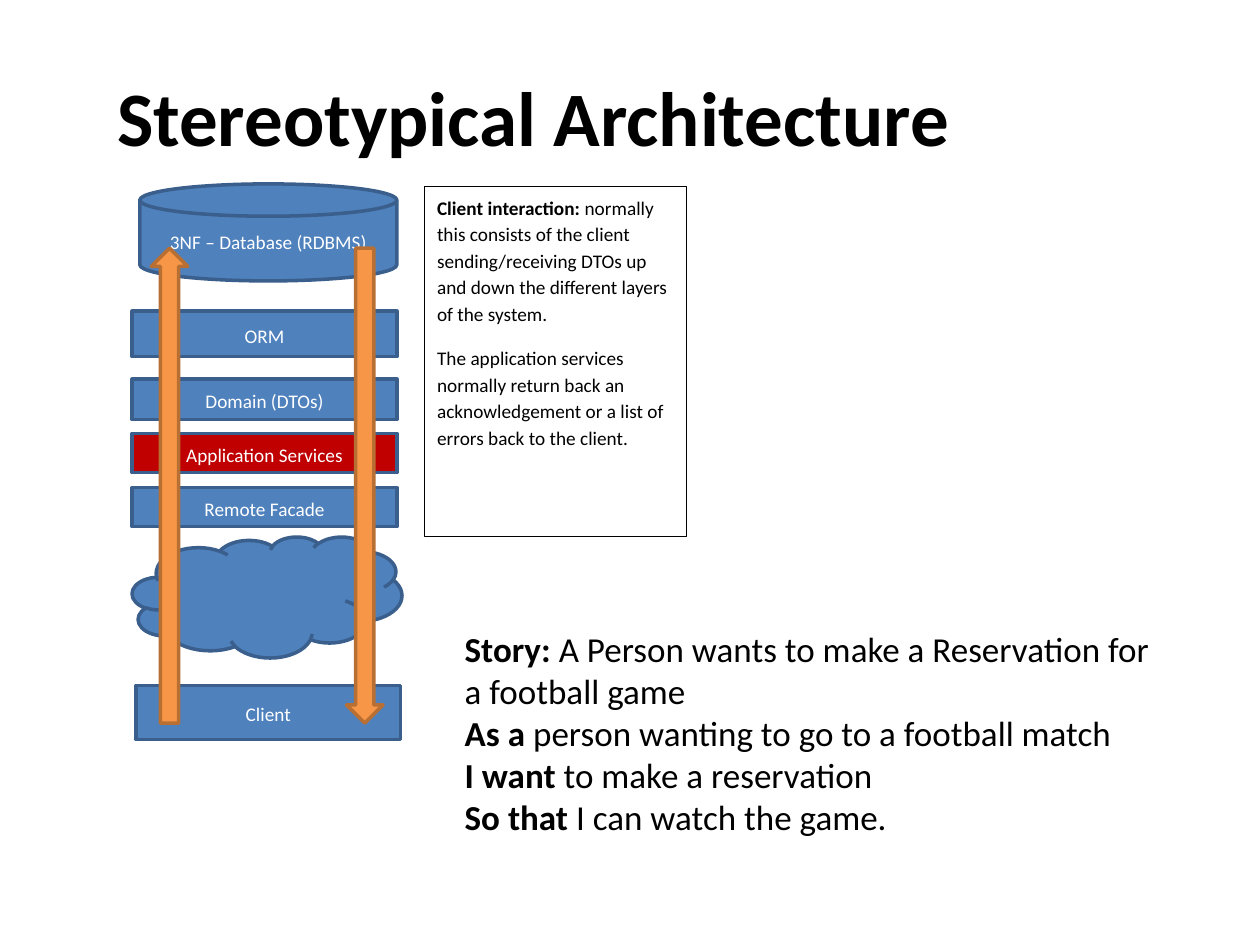
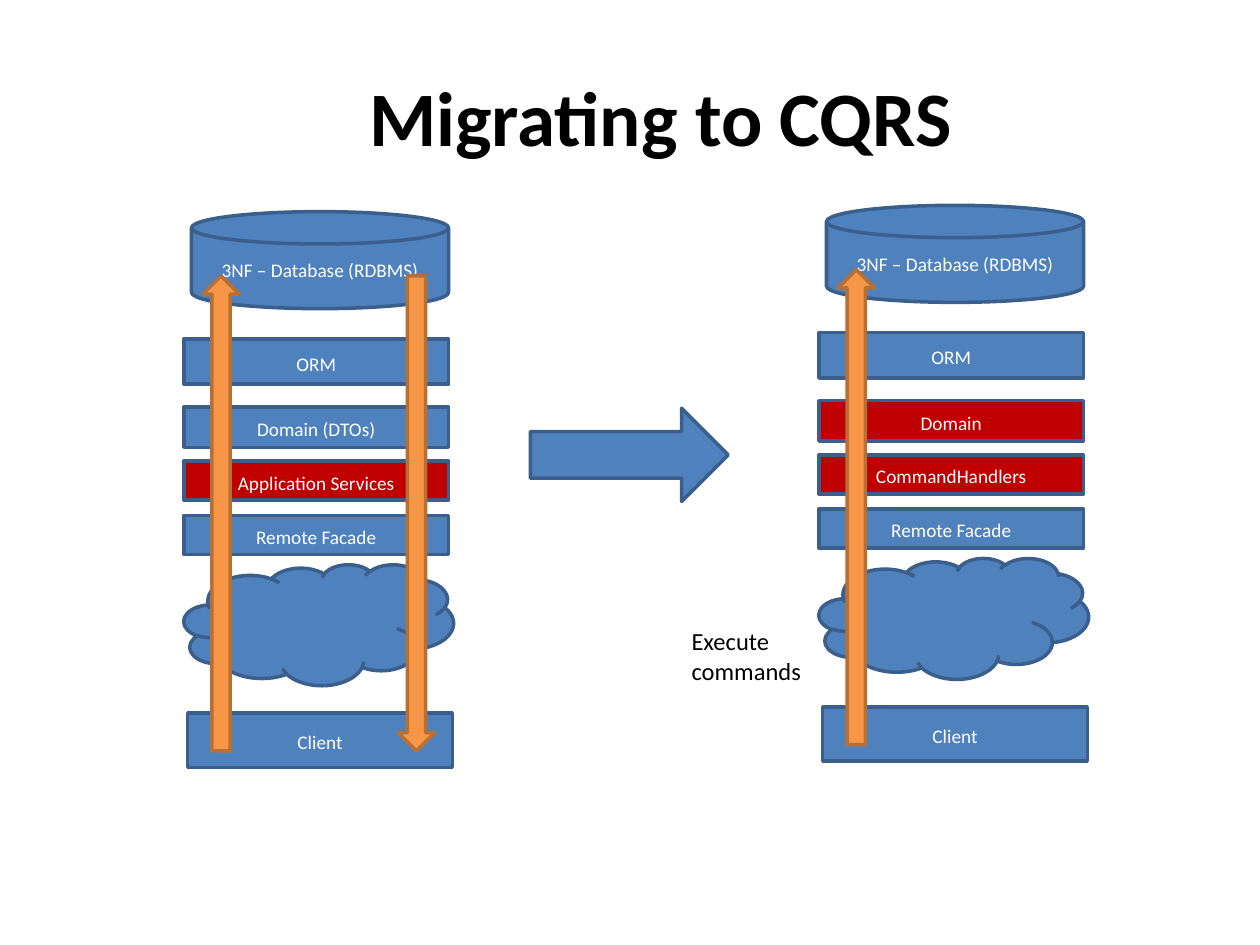
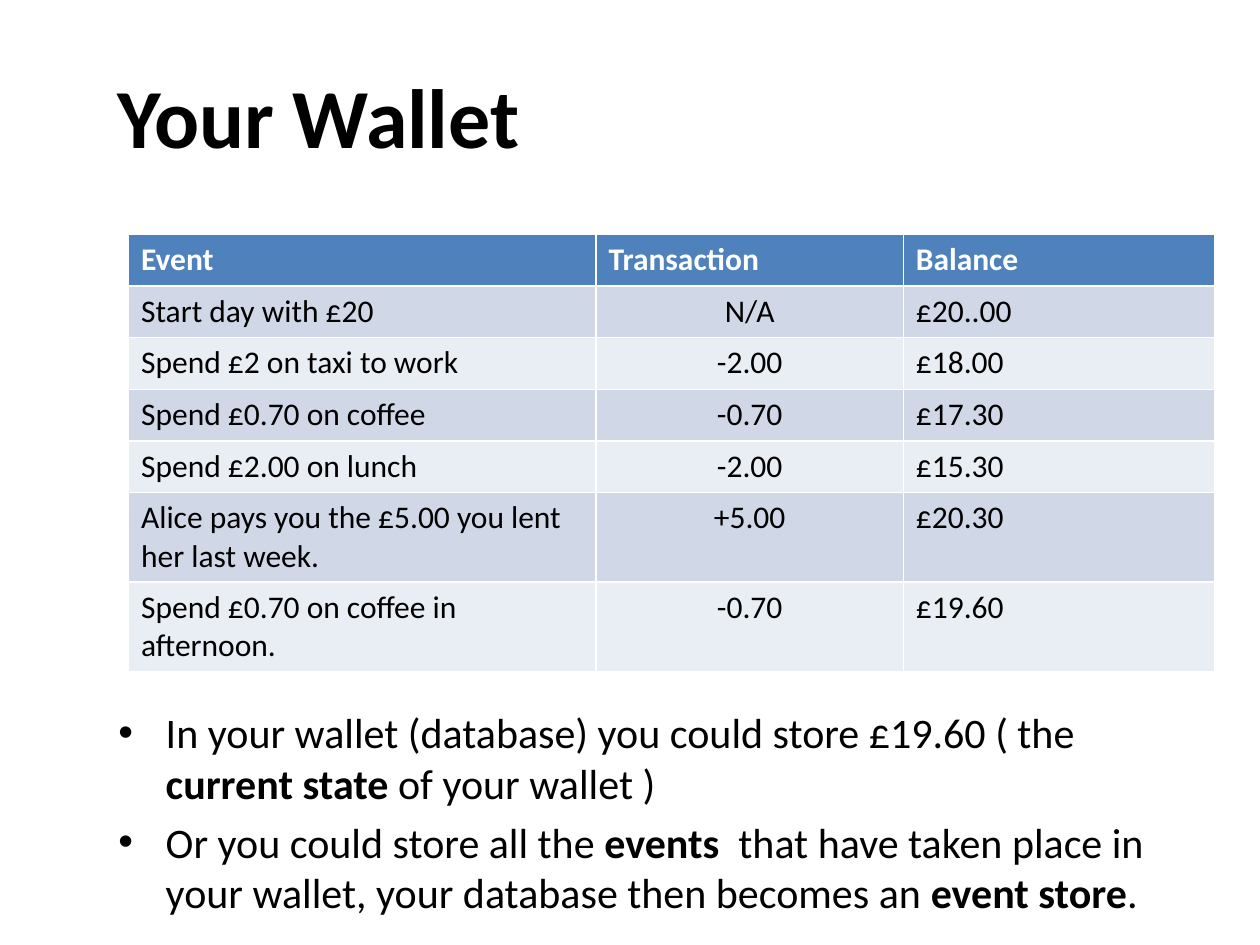
from pptx import Presentation
from pptx.dml.color import RGBColor
from pptx.enum.shapes import MSO_SHAPE as SHAPE
from pptx.enum.text import MSO_ANCHOR as ANCHOR, MSO_AUTO_SIZE as AUTO, PP_ALIGN as ALIGN
from pptx.util import Inches, Pt

FONT = "Calibri"
COLORS = {
    "black": "000000", "white": "FFFFFF",
    "layer": "4F81BD", "layer_line": "3A5F8C", "changed": "C00000",
    "flow": "F79646", "flow_line": "B76F34",
    "band_dark": "D0D8E8", "band_light": "E9EDF4",
}
TITLE_ONLY, TITLE_AND_BODY = 5, 1


def color(name):
    return RGBColor.from_string(COLORS[name])


def box(x, y, w, h):
    return Inches(x), Inches(y), Inches(w), Inches(h)


def place(shape, x, y, w, h):
    shape.left, shape.top, shape.width, shape.height = box(x, y, w, h)


def write(p, runs, size, ink="black", align=None):
    """Fill a paragraph with (text, bold) runs."""
    p.alignment = align
    for text, bold in runs:
        r = p.add_run()
        r.text = text
        r.font.name, r.font.size, r.font.bold = FONT, Pt(size), bold
        r.font.color.rgb = color(ink)


def write_all(tf, paragraphs, size):
    """Write one paragraph per list of runs and return the paragraphs."""
    tf.word_wrap = True
    for i, runs in enumerate(paragraphs):
        write(tf.add_paragraph() if i else tf.paragraphs[0], runs, size)
    return tf.paragraphs


def space_lines(p):
    p.line_spacing, p.space_after = 1.15, Pt(10)


def add_slide(prs, layout, title, size=44, align=ALIGN.LEFT):
    s = prs.slides.add_slide(prs.slide_layouts[layout])
    place(s.shapes.title, 0.83, 0.29, 8.83, 1.25)
    tf = s.shapes.title.text_frame
    tf.auto_size, tf.vertical_anchor = AUTO.NONE, ANCHOR.MIDDLE
    write(tf.paragraphs[0], [(title, True)], size, align=align)
    return s


def add_shape(shapes, kind, at, fill="layer", line="layer_line", width=2):
    sp = shapes.add_shape(kind, *box(*at))
    sp.shadow.inherit = False
    sp.fill.solid()
    sp.fill.fore_color.rgb = color(fill)
    sp.line.color.rgb = color(line)
    sp.line.width = Pt(width)
    return sp


def add_layer(shapes, label, at, kind=SHAPE.FLOWCHART_PROCESS, fill="layer"):
    tf = add_shape(shapes, kind, at, fill).text_frame
    tf.word_wrap, tf.vertical_anchor = True, ANCHOR.MIDDLE
    p = tf.paragraphs[0]
    write(p, [(label, False)], 11, "white", ALIGN.CENTER)
    space_lines(p)


def add_stack(s, x, y, domain, service, domain_fill="layer", returns=True):
    """Group the layers from database to client with the flow arrows over them."""
    shapes = s.shapes.add_group_shape().shapes
    add_layer(shapes, "3NF – Database (RDBMS)", (x + 0.06, y, 2.04, 0.77),
              SHAPE.FLOWCHART_MAGNETIC_DISK)
    layers = [
        ("ORM", 0, 1.01, 0.36, "layer"),
        (domain, 0, 1.55, 0.32, domain_fill),
        (service, 0, 1.98, 0.31, "changed"),
        ("Remote Facade", 0, 2.41, 0.31, "layer"),
        ("Client", 0.03, 3.98, 0.43, "layer"),
    ]
    for label, dx, dy, h, fill in layers:
        add_layer(shapes, label, (x + dx, y + dy, 2.1, h), fill=fill)
    add_shape(shapes, SHAPE.CLOUD, (x, y + 2.8, 2.14, 0.96))
    arrows = [(SHAPE.UP_ARROW, 0.15)]
    if returns:
        arrows.append((SHAPE.DOWN_ARROW, 1.7))
    for kind, dx in arrows:
        add_shape(shapes, kind, (x + dx, y + 0.51, 0.29, 3.77), "flow", "flow_line")


def add_text(s, at, paragraphs, size, level=0):
    tf = s.shapes.add_textbox(*box(*at)).text_frame
    for p in write_all(tf, paragraphs, size):
        p.level = level


def add_note(s, at, paragraphs):
    tf = add_shape(s.shapes, SHAPE.RECTANGLE, at, "white", "black", 0.75).text_frame
    tf.vertical_anchor = ANCHOR.TOP
    for p in write_all(tf, paragraphs, 11):
        p.alignment = ALIGN.LEFT
        space_lines(p)


def add_table(s, at, rows, widths, heights):
    table = s.shapes.add_table(len(rows), len(widths), *box(*at)).table
    for col, w in zip(table.columns, widths):
        col.width = Inches(w)
    for i, (row, h) in enumerate(zip(rows, heights)):
        table.rows[i].height = Inches(h)
        header = i == 0
        fill = "layer" if header else "band_dark" if i % 2 else "band_light"
        for j, text in enumerate(row):
            cell = table.cell(i, j)
            cell.fill.solid()
            cell.fill.fore_color.rgb = color(fill)
            align = ALIGN.CENTER if j == 1 and not header else ALIGN.LEFT
            write(cell.text_frame.paragraphs[0], [(text, header)], 18,
                  "white" if header else "black", align)


def add_bullets(s, at, paragraphs, size):
    body = s.placeholders[1]
    place(body, *at)
    body.text_frame.auto_size = AUTO.NONE
    write_all(body.text_frame, paragraphs, size)


def build_architecture(prs):
    s = add_slide(prs, TITLE_ONLY, "Stereotypical Architecture")
    add_stack(s, 1.05, 1.46, "Domain (DTOs)", "Application Services")
    add_note(s, (3.37, 1.48, 2.08, 2.78), [
        [("Client interaction:", True),
         (" normally this consists of the client sending/receiving DTOs up and "
          "down the different layers of the system.", False)],
        [("The application services normally return back an acknowledgement "
          "or a list of errors back to the client.", False)],
    ])
    story = [
        ("Story: ", "A Person wants to make a Reservation for a football game"),
        ("As a ", "person wanting to go to a football match"),
        ("I want ", "to make a reservation"),
        ("So that ", "I can watch the game."),
    ]
    add_text(s, (2.09, 4.93, 7.2, 1.78),
             [[(lead, True), (rest, False)] for lead, rest in story], 20, level=3)


def build_migration(prs):
    s = add_slide(prs, TITLE_ONLY, "Migrating to CQRS", align=ALIGN.CENTER)
    add_stack(s, 1.46, 1.68, "Domain (DTOs)", "Application Services")
    add_shape(s.shapes, SHAPE.RIGHT_ARROW, (4.21, 3.24, 1.57, 0.74))
    add_stack(s, 6.5, 1.63, "Domain", "CommandHandlers", "changed", returns=False)
    add_text(s, (5.39, 4.92, 1.1, 0.57), [[("Execute commands", False)]], 14)


def build_wallet(prs):
    s = add_slide(prs, TITLE_AND_BODY, "Your Wallet", size=48)
    rows = [
        ("Event", "Transaction", "Balance"),
        ("Start day with £20", "N/A", "£20..00"),
        ("Spend £2 on taxi to work", "-2.00", "£18.00"),
        ("Spend £0.70 on coffee", "-0.70", "£17.30"),
        ("Spend £2.00 on lunch", "-2.00", "£15.30"),
        ("Alice pays you the £5.00 you lent her last week.", "+5.00", "£20.30"),
        ("Spend £0.70 on coffee in afternoon.", "-0.70", "£19.60"),
    ]
    add_table(s, (1.02, 1.86, 8.62, 3.45), rows,
              (3.71, 2.44, 2.47), [0.41] * 5 + [0.7] * 2)
    add_bullets(s, (0.84, 5.56, 8.83, 1.65), [
        [("In your wallet (database) you could store £19.60 ( the ", False),
         ("current state", True), (" of your wallet )", False)],
        [("Or you could store all the ", False), ("events", True),
         ("  that have taken place in your wallet, your database then becomes an ",
          False),
         ("event store", True), (".", False)],
    ], 24)


def main():
    prs = Presentation()
    prs.slide_width, prs.slide_height = Inches(10), Inches(7.5)
    build_architecture(prs)
    build_migration(prs)
    build_wallet(prs)
    prs.save("out.pptx")


if __name__ == "__main__":
    main()
